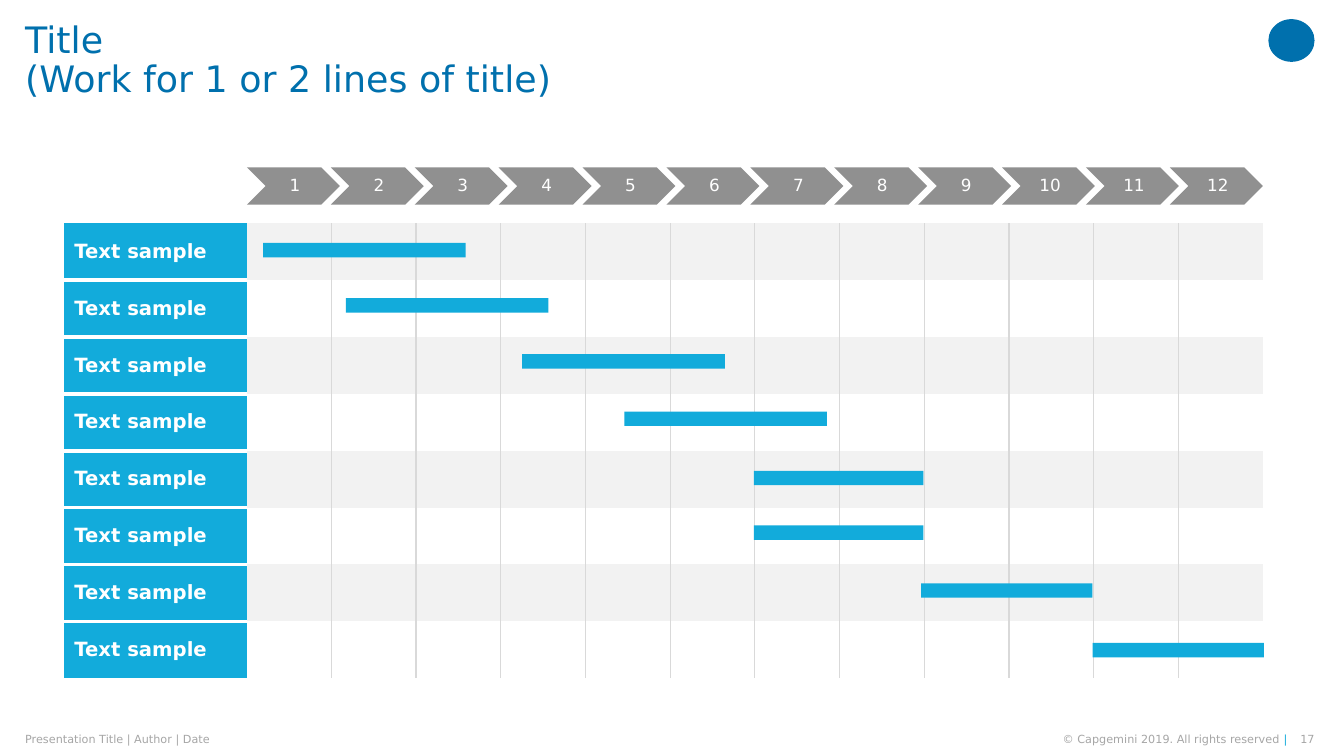
from lxml import etree
from pptx import Presentation
from pptx.dml.color import RGBColor
from pptx.enum.shapes import MSO_SHAPE
from pptx.enum.text import MSO_ANCHOR, MSO_AUTO_SIZE, PP_ALIGN
from pptx.oxml.ns import qn
from pptx.util import Pt

CHEVRON, RECTANGLE, OVAL = MSO_SHAPE.CHEVRON, MSO_SHAPE.RECTANGLE, MSO_SHAPE.OVAL
MIDDLE, NO_FIT = MSO_ANCHOR.MIDDLE, MSO_AUTO_SIZE.NONE
LEFT, CENTER, RIGHT = PP_ALIGN.LEFT, PP_ALIGN.CENTER, PP_ALIGN.RIGHT

# Content
TITLE = "Title\v(Work for 1 or 2 lines of title)"
MONTHS = [str(month) for month in range(1, 13)]
# Task label, then left, top and width of its bar
TASKS = [
    ("Text sample", 188, 173.5, 144.7),
    ("Text sample", 247, 213, 144.7),
    ("Text sample", 373, 253, 144.7),
    ("Text sample", 446, 294, 144.7),
    ("Text sample", 538.5, 336.3, 121),
    ("Text sample", 538.5, 375.3, 121),
    ("Text sample", 658, 416.7, 122.4),
    ("Text sample", 780.5, 459.2, 122.4),
]
# Footer runs with colours, then left, width and alignment
FOOTERS = [
    ([("Presentation Title | Author | Date", "pale")], 18, 371.5, LEFT),
    ([("© Capgemini 2019. All rights reserved ", "pale"), ("|", "cyan")],
     710, 209.5, RIGHT),
    ([("17", "pale")], 925, 14, RIGHT),
]

# Style and layout
FONT = "DejaVu Sans"
COLORS = {"blue": "0070AD", "cyan": "12ABDB", "gray": "909090", "pale": "A6A6A6",
          "grid": "D9D9D9", "band": "F2F2F2", "white": "FFFFFF"}
CHEVRON_LEFT, CHEVRON_TOP, CHEVRON_PITCH = 176.4, 119.6, 59.93
CHEVRON_WIDTH, CHEVRON_HEIGHT = 66.4, 26.6
TABLE_LEFT, TABLE_TOP, LABEL_WIDTH = 45.9, 159.3, 130.2
MONTH_WIDTH, ROW_HEIGHT = 60.52, 40.65
BAR_HEIGHT = 10.3
FOOTER_TOP, FOOTER_HEIGHT = 523.5, 9.4


def rgb(name):
    return RGBColor.from_string(COLORS[name])


def style_font(font, size, color, bold=False):
    font.name, font.size, font.bold = FONT, Pt(size), bold
    font.color.rgb = rgb(color)


def set_margins(frame, left, top, right, bottom):
    frame.margin_left, frame.margin_top = Pt(left), Pt(top)
    frame.margin_right, frame.margin_bottom = Pt(right), Pt(bottom)


def add_solid(kind, left, top, width, height, color):
    solid = slide.shapes.add_shape(kind, Pt(left), Pt(top), Pt(width), Pt(height))
    solid.shadow.inherit = False
    solid.fill.solid()
    solid.fill.fore_color.rgb = rgb(color)
    solid.line.fill.background()
    return solid


def add_border(cell, side, color, width):
    border = etree.SubElement(cell._tc.get_or_add_tcPr(), qn("a:" + side), w=str(Pt(width)))
    fill = etree.SubElement(border, qn("a:solidFill"))
    etree.SubElement(fill, qn("a:srgbClr"), val=COLORS[color])


def fill_cell(cell, color):
    cell.fill.solid()
    cell.fill.fore_color.rgb = rgb(color)


deck = Presentation()
deck.slide_width, deck.slide_height = Pt(960), Pt(540)
slide = deck.slides.add_slide(deck.slide_layouts[5])

# Title
title = slide.shapes.title
title.left, title.top, title.width, title.height = Pt(18), Pt(0), Pt(876), Pt(87)
heading = title.text_frame
heading.text = TITLE
heading.word_wrap, heading.auto_size = True, NO_FIT
heading.vertical_anchor = MIDDLE
set_margins(heading, 0, 0, 0, 0)
heading.paragraphs[0].alignment = LEFT
heading.paragraphs[0].line_spacing = 0.9
style_font(heading.paragraphs[0].font, 26, "blue")

# Emblem placeholder in the corner
add_solid(OVAL, 906, 13.7, 33, 30.5, "blue")

# Month chevrons
for index, month in enumerate(MONTHS):
    chevron = add_solid(CHEVRON, CHEVRON_LEFT + index * CHEVRON_PITCH, CHEVRON_TOP,
                        CHEVRON_WIDTH, CHEVRON_HEIGHT, "gray")
    frame = chevron.text_frame
    frame.text = month
    frame.vertical_anchor = MIDDLE
    set_margins(frame, 3.6, 1.4, 1.4, 1.4)
    frame.paragraphs[0].alignment = CENTER
    frame.paragraphs[0].line_spacing = 0.9
    style_font(frame.paragraphs[0].font, 12, "white")

# Schedule grid
grid_frame = slide.shapes.add_table(
    len(TASKS), len(MONTHS) + 1, Pt(TABLE_LEFT), Pt(TABLE_TOP),
    Pt(LABEL_WIDTH + len(MONTHS) * MONTH_WIDTH), Pt(len(TASKS) * ROW_HEIGHT))
grid = grid_frame.table
grid.first_row = grid.horz_banding = False
# Table style without lines or fills
grid._tbl.tblPr.find(qn("a:tableStyleId")).text = "{2D5ABB26-0587-4C30-8999-92F81FD0307C}"
for index, column in enumerate(grid.columns):
    column.width = Pt(MONTH_WIDTH if index else LABEL_WIDTH)

for row, (label, *_) in enumerate(TASKS):
    grid.rows[row].height = Pt(ROW_HEIGHT)
    label_cell = grid.cell(row, 0)
    label_cell.text = label
    label_cell.vertical_anchor = MIDDLE
    style_font(label_cell.text_frame.paragraphs[0].font, 14, "white", True)
    if row > 0:
        add_border(label_cell, "lnT", "white", 3)
    if row < len(TASKS) - 1:
        add_border(label_cell, "lnB", "white", 3)
    fill_cell(label_cell, "cyan")
    for column in range(1, len(MONTHS) + 1):
        month_cell = grid.cell(row, column)
        if column > 1:
            add_border(month_cell, "lnL", "grid", 1)
        if column < len(MONTHS):
            add_border(month_cell, "lnR", "grid", 1)
        fill_cell(month_cell, "white" if row % 2 else "band")

# Task bars
for _, left, top, width in TASKS:
    add_solid(RECTANGLE, left, top, width, BAR_HEIGHT, "cyan")

# Footer
for runs, left, width, alignment in FOOTERS:
    footer = slide.shapes.add_textbox(Pt(left), Pt(FOOTER_TOP), Pt(width), Pt(FOOTER_HEIGHT))
    frame = footer.text_frame
    frame.word_wrap = True
    frame.vertical_anchor = MIDDLE
    set_margins(frame, 0, 0, 0, 0)
    paragraph = frame.paragraphs[0]
    paragraph.alignment = alignment
    for text, color in runs:
        run = paragraph.add_run()
        run.text = text
        style_font(run.font, 8, color)

deck.save("out.pptx")
